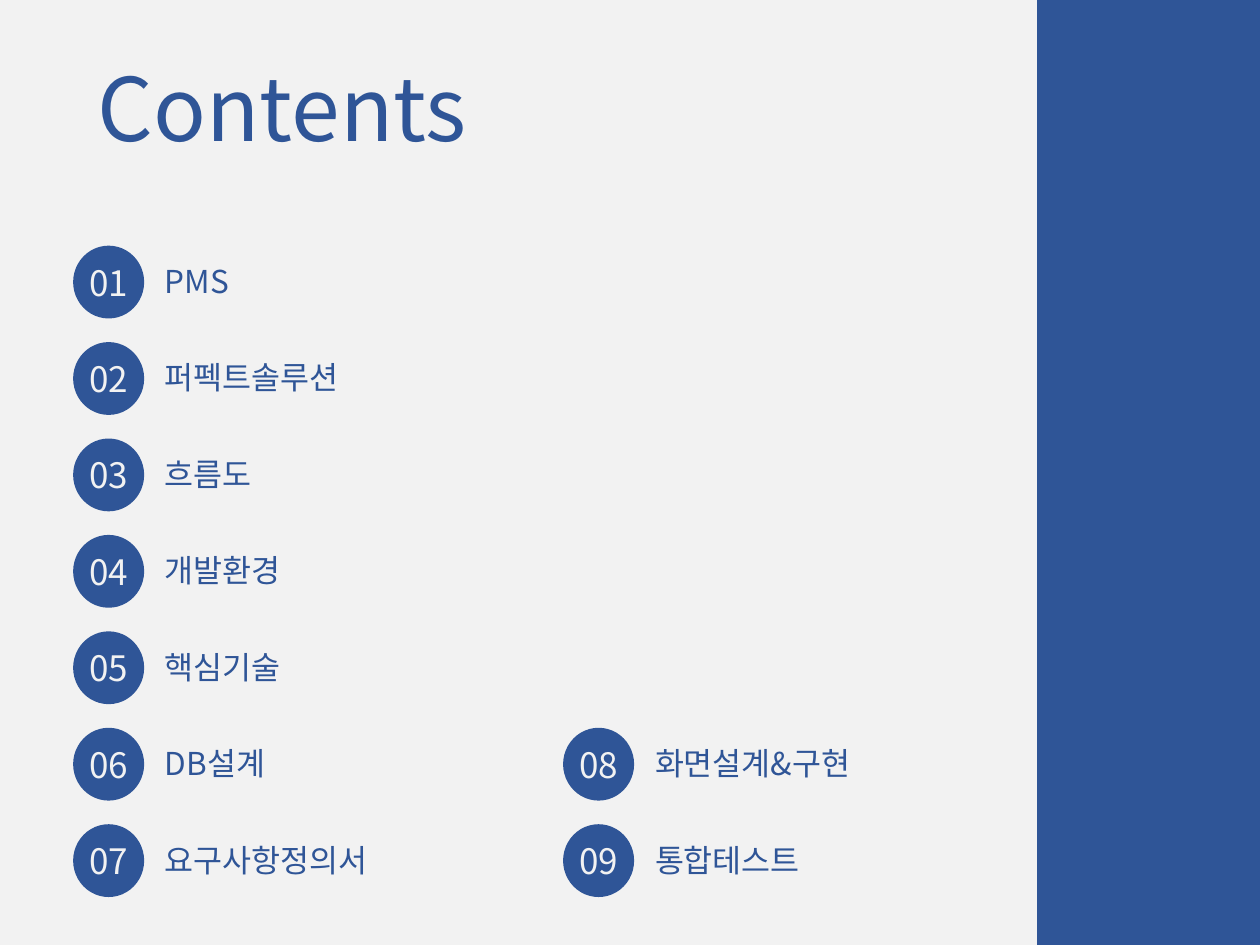
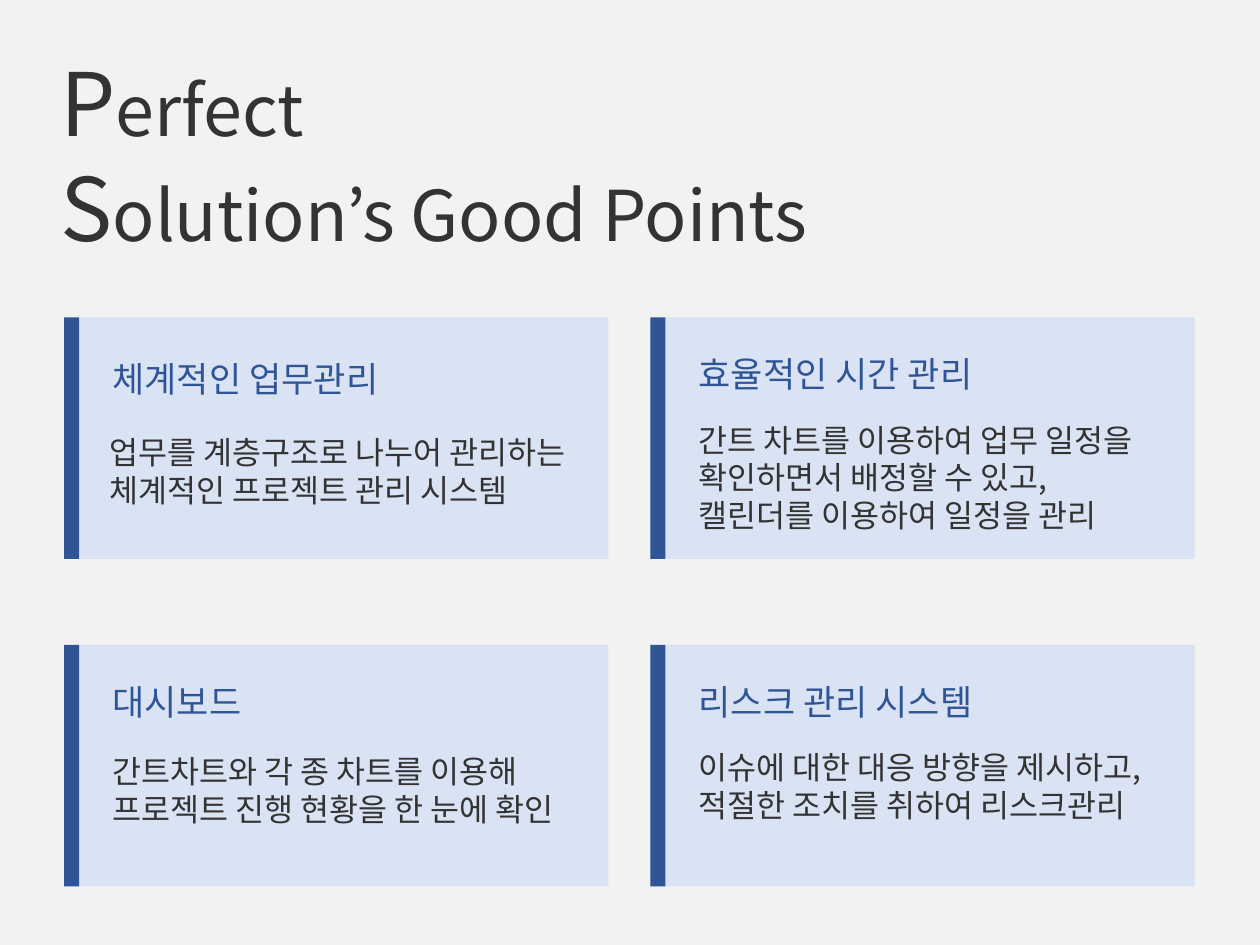
"""Build the contents slide and the good points slide of a project presentation."""
from lxml.etree import SubElement
from pptx import Presentation
from pptx.dml.color import RGBColor
from pptx.enum.shapes import MSO_SHAPE as Shape
from pptx.enum.text import MSO_ANCHOR as Anchor, MSO_AUTO_SIZE as AutoSize, PP_ALIGN as Align
from pptx.oxml.ns import qn
from pptx.util import Pt

FONT = "Noto Sans CJK KR"
BLUE, PALE_BLUE, LIGHT, DARK = "2F5597", "DAE3F3", "F2F2F2", "333333"
SLIDE_W, SLIDE_H = 720, 540

TOPICS = ["PMS", "퍼펙트솔루션", "흐름도", "개발환경", "핵심기술", "DB설계",
          "요구사항정의서", "화면설계&구현", "통합테스트"]
FIRST_COLUMN_COUNT, ROW_COUNT = 7, 7
TOPIC_LEFT, TOPIC_TOP, TOPIC_COLUMN_STEP, TOPIC_ROW_STEP = 41.8, 140.4, 280, 55.1
BADGE_W, BADGE_H = 40.6, 41.6

CARD_LEFT, CARD_TOP, CARD_COLUMN_STEP, CARD_ROW_STEP = 36.7, 181.4, 335, 187.2
CARD_W, CARD_H, ACCENT_W = 311, 138, 8.6
GOOD_POINTS = [
    ("체계적인 업무관리", 19.5,
     ["업무를 계층구조로 나누어 관리하는", "체계적인 프로젝트 관리 시스템"], (18.7, 62.6, 290)),
    ("효율적인 시간 관리", 16.6,
     ["간트 차트를 이용하여 업무 일정을 확인하면서 배정할 수 있고,",
      "캘린더를 이용하여 일정을 관리"], (20.5, 55.4, 277)),
    ("대시보드", 16.6,
     ["간트차트와 각 종 차트를 이용해", "프로젝트 진행 현황을 한 눈에 확인"], (20.5, 57.6, 283)),
    ("리스크 관리 시스템", 16.6,
     ["이슈에 대한 대응 방향을 제시하고,", "적절한 조치를 취하여 리스크관리"], (20.5, 55.4, 290)),
]


def rgb(hex_color):
    return RGBColor.from_string(hex_color)


def style_run(run, size, color):
    run.font.size = Pt(size)
    run.font.name = FONT
    run.font.color.rgb = rgb(color)
    SubElement(run._r.get_or_add_rPr(), qn("a:ea"), typeface=FONT)


def write(frame, lines, size, color, align=Align.LEFT):
    frame.text = "\n".join(lines)
    for paragraph in frame.paragraphs:
        paragraph.alignment = align
        for run in paragraph.runs:
            style_run(run, size, color)


def add_block(slide, kind, left, top, width, height, color):
    block = slide.shapes.add_shape(kind, Pt(left), Pt(top), Pt(width), Pt(height))
    block.shadow.inherit = False
    block.fill.solid()
    block.fill.fore_color.rgb = rgb(color)
    block.line.fill.background()
    return block


def add_text(slide, left, top, width, height, lines, size, color):
    frame = slide.shapes.add_textbox(Pt(left), Pt(top), Pt(width), Pt(height)).text_frame
    frame.word_wrap = True
    frame.auto_size = AutoSize.SHAPE_TO_FIT_TEXT
    write(frame, lines, size, color)


def add_titled_slide(prs, left, top, width, height):
    slide = prs.slides.add_slide(prs.slide_layouts[5])
    title = slide.shapes.title
    title.left, title.top, title.width, title.height = map(Pt, (left, top, width, height))
    frame = title.text_frame
    frame.word_wrap = True
    frame.auto_size = AutoSize.SHAPE_TO_FIT_TEXT
    frame.vertical_anchor = Anchor.TOP
    return slide, frame


def add_topic(slide, number, topic, left, top):
    badge = add_block(slide, Shape.OVAL, left, top, BADGE_W, BADGE_H, BLUE)
    frame = badge.text_frame
    frame.margin_left = frame.margin_right = frame.margin_top = frame.margin_bottom = 0
    frame.word_wrap = False
    frame.vertical_anchor = Anchor.MIDDLE
    write(frame, [f"{number:02}"], 20, LIGHT, Align.CENTER)
    add_text(slide, left + 45.4, top + 5.8, 151, 29, [topic], 18, BLUE)


def add_card(slide, left, top, heading, heading_top, body, body_place):
    add_block(slide, Shape.RECTANGLE, left, top, CARD_W, CARD_H, PALE_BLUE)
    add_block(slide, Shape.RECTANGLE, left, top, ACCENT_W, CARD_H, BLUE)
    add_text(slide, left + 20.5, top + heading_top, 244, 31.5, [heading], 20, BLUE)
    body_left, body_top, body_width = body_place
    add_text(slide, left + body_left, top + body_top, body_width, 51, body, 18, DARK)


def build_contents(prs):
    slide, title = add_titled_slide(prs, 33, 27.4, 256.5, 67.7)
    write(title, ["Contents"], 50, BLUE, Align.CENTER)
    add_block(slide, Shape.RECTANGLE, 592.6, 0, SLIDE_W - 592.6, SLIDE_H, BLUE)
    second_column_start = ROW_COUNT - (len(TOPICS) - FIRST_COLUMN_COUNT)
    for index, topic in enumerate(TOPICS):
        column, row = divmod(index, FIRST_COLUMN_COUNT)
        row += column * second_column_start
        add_topic(slide, index + 1, topic, TOPIC_LEFT + column * TOPIC_COLUMN_STEP,
                  TOPIC_TOP + row * TOPIC_ROW_STEP)


def build_good_points(prs):
    slide, title = add_titled_slide(prs, 27.4, 24.5, 514, 128)
    title.text = "\n"
    for paragraph, words in zip(title.paragraphs, ("Perfect", "Solution’s Good Points")):
        paragraph.alignment = Align.LEFT
        for part, size in ((words[0], 50), (words[1:], 40)):
            run = paragraph.add_run()
            run.text = part
            style_run(run, size, DARK)
    for index, point in enumerate(GOOD_POINTS):
        row, column = divmod(index, 2)
        add_card(slide, CARD_LEFT + column * CARD_COLUMN_STEP,
                 CARD_TOP + row * CARD_ROW_STEP, *point)


def main():
    prs = Presentation()
    prs.slide_width, prs.slide_height = Pt(SLIDE_W), Pt(SLIDE_H)
    backdrop = prs.slide_master.background.fill
    backdrop.solid()
    backdrop.fore_color.rgb = rgb(LIGHT)
    build_contents(prs)
    build_good_points(prs)
    prs.save("out.pptx")


if __name__ == "__main__":
    main()
